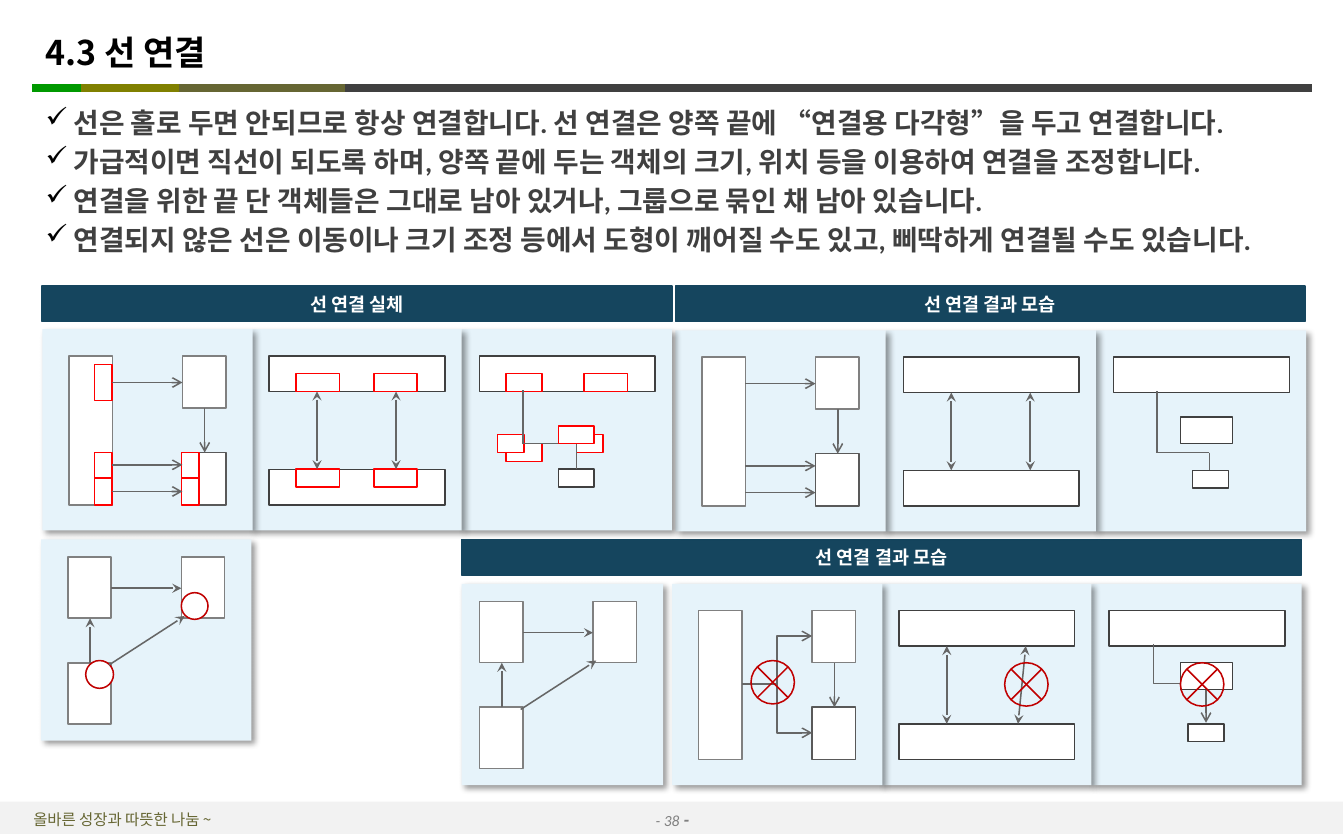
from dataclasses import dataclass
from lxml.etree import SubElement
from pptx import Presentation
from pptx.dml.color import RGBColor
from pptx.enum.shapes import MSO_CONNECTOR, MSO_SHAPE
from pptx.enum.text import MSO_ANCHOR, PP_ALIGN
from pptx.oxml.ns import qn
from pptx.util import Inches, Pt


@dataclass(frozen=True)
class Theme:
    latin: str = "Calibri"
    hangul: str = "Noto Sans CJK KR"
    black: str = "000000"
    white: str = "FFFFFF"
    dark: str = "404040"
    slate: str = "595959"
    wire: str = "666666"
    gray: str = "808080"
    pale: str = "F2F2F2"
    navy: str = "15455E"
    sky: str = "E6F3FA"
    red: str = "FF0000"
    alert: str = "C00000"
    green: str = "009900"
    olive: str = "808000"
    moss: str = "666633"
    title: int = 22
    body: int = 18
    head: int = 12
    foot: int = 10


class Board:
    def __init__(self, slide, theme):
        self.slide, self.theme = slide, theme
        self.x = self.y = 0

    def box(self, x, y, w, h, edge=None, fill="FFFFFF", kind=MSO_SHAPE.RECTANGLE):
        shape = self.slide.shapes.add_shape(
            kind, Inches(self.x + x), Inches(self.y + y), Inches(w), Inches(h))
        shape.shadow.inherit = False
        if fill:
            shape.fill.solid()
            shape.fill.fore_color.rgb = RGBColor.from_string(fill)
        else:
            shape.fill.background()
        if edge:
            shape.line.color.rgb = RGBColor.from_string(edge)
            shape.line.width = Pt(1)
        else:
            shape.line.fill.background()
        return shape

    def panel(self, x, y, w=1.89):
        self.x, self.y = x, y
        shape = self.box(0, 0, w, 1.81, fill=self.theme.sky)
        effect = shape._element.spPr.find(qn("a:effectLst"))
        shade = SubElement(effect, qn("a:outerShdw"), blurRad=str(Pt(4)),
                           dist=str(Pt(3)), dir="2700000", algn="tl", rotWithShape="0")
        color = SubElement(shade, qn("a:srgbClr"), val=self.theme.black)
        SubElement(color, qn("a:alpha"), val="40000")

    def line(self, a, b, head=None, tail=None, color=None, width=1,
             kind=MSO_CONNECTOR.STRAIGHT, turn=0):
        link = self.slide.shapes.add_connector(
            kind, Inches(self.x + a[0]), Inches(self.y + a[1]),
            Inches(self.x + b[0]), Inches(self.y + b[1]))
        link.line.color.rgb = RGBColor.from_string(color or self.theme.wire)
        link.line.width = Pt(width)
        props = link._element.spPr
        for tag, tip in (("a:headEnd", head), ("a:tailEnd", tail)):
            if tip:
                SubElement(props.find(qn("a:ln")), qn(tag), type=tip)
        SubElement(props, qn("a:effectLst"))
        if turn:
            props.find(qn("a:xfrm")).set("rot", str(turn * 60000))

    def bend(self, a, b, turn=0):
        self.line(a, b, tail="arrow", kind=MSO_CONNECTOR.ELBOW, turn=turn)

    def style(self, para, size, color, face=None, bold=False, slant=False):
        for run in para.runs:
            font = run.font
            font.size, font.bold, font.italic = Pt(size), bold, slant
            font.color.rgb = RGBColor.from_string(color)
            font.name = face or self.theme.latin
            SubElement(run._r.get_or_add_rPr(), qn("a:ea"), typeface=self.theme.hangul)

    def text(self, x, y, w, h, words, inset=None, anchor=MSO_ANCHOR.MIDDLE):
        frame = self.slide.shapes.add_textbox(
            Inches(x), Inches(y), Inches(w), Inches(h)).text_frame
        frame.word_wrap = True
        frame.vertical_anchor = anchor
        if inset:
            frame.margin_left = frame.margin_right = Inches(inset)
            frame.margin_top = frame.margin_bottom = Inches(inset)
        frame.text = words
        return frame.paragraphs

    def list(self, x, y, w, h, items):
        paras = self.text(x, y, w, h, "\n".join(items), 0.04, MSO_ANCHOR.TOP)
        for i, para in enumerate(paras):
            props = para._p.get_or_add_pPr()
            props.set("marL", str(Inches(0.25)))
            props.set("indent", str(Inches(-0.25)))
            tint = SubElement(props, qn("a:buClr"))
            SubElement(tint, qn("a:srgbClr"), val=self.theme.black)
            SubElement(props, qn("a:buChar"), char="✓")
            para.space_before = Pt(3.6 if i else 0)
            self.style(para, self.theme.body, self.theme.dark, bold=True)

    def band(self, x, y, w, words):
        frame = self.box(x, y, w, 0.32, self.theme.navy, self.theme.navy).text_frame
        frame.vertical_anchor = MSO_ANCHOR.MIDDLE
        frame.text = words
        frame.paragraphs[0].alignment = PP_ALIGN.CENTER
        self.style(frame.paragraphs[0], self.theme.head, self.theme.white, bold=True)

    def tags(self, spots, w, h):
        for x, y in spots:
            self.box(x, y, w, h, self.theme.red)

    def cross(self, x, y):
        self.box(x, y, 0.39, 0.39, self.theme.alert, None,
                 MSO_SHAPE.FLOWCHART_SUMMING_JUNCTION)

    def blocks(self, x, y):
        self.panel(x, y)
        self.box(0.24, 0.24, 0.39, 1.34, self.theme.gray)
        self.box(1.26, 0.24, 0.39, 0.47, self.theme.gray)
        self.box(1.26, 1.11, 0.39, 0.47, self.theme.slate)
        self.line((1.46, 0.71), (1.46, 1.11), tail="arrow")

    def arrows(self):
        for y in (0.48, 1.22, 1.46):
            self.line((0.63, y), (1.26, y), tail="arrow")

    def beams(self, x, y, lean=0, tagged=False):
        self.panel(x, y)
        for top in (0.24, 1.26):
            self.box(0.16, top, 1.58, 0.32, self.theme.dark)
        if tagged:
            self.tags([(a, b) for a in (0.4, 1.1) for b in (0.4, 1.26)], 0.39, 0.16)
        for a, b in ((0.59, 0.59), (1.3, 1.3 - lean)):
            self.line((a, 0.56), (b, 1.26), "stealth", "stealth")

    def hook(self, x, y):
        self.panel(x, y)
        self.box(0.16, 0.24, 1.58, 0.32, self.theme.dark)
        self.box(0.87, 1.26, 0.32, 0.16, self.theme.dark)

    def chain(self, *points):
        for a, b in zip(points, points[1:]):
            self.line(a, b)

    def corner(self, x, y, w, left, dots=()):
        self.panel(x, y, w)
        for a, b in ((0, 0.16), (1.02, 0.16), (0, 1.11)):
            self.box(left + a, b, 0.39, 0.55, self.theme.gray)
        for a, b, size in dots:
            self.box(a, b, size, size, self.theme.alert, kind=MSO_SHAPE.OVAL)
        for a, b, c, d in ((0.37, 1.13, 1.05, 0.69), (0.2, 1.11, 0.2, 0.71),
                           (0.39, 0.44, 1.02, 0.44)):
            self.line((left + a, b), (left + c, d), tail="stealth")


def main():
    deck = Presentation()
    deck.slide_width, deck.slide_height = Inches(12.08), Inches(7.5)
    look = Theme()
    board = Board(deck.slides.add_slide(deck.slide_layouts[6]), look)

    board.box(0, 7.21, 12.07, 0.29, fill=look.pale)
    motto = board.text(0, 7.24, 2.2, 0.26, "올바른 성장과 따뜻한 나눔 ~")[0]
    motto.alignment = PP_ALIGN.CENTER
    board.style(motto, look.foot, look.moss, look.hangul)
    for a, b, color in ((2.98, 11.79, look.dark), (0.29, 1.09, look.green),
                        (0.73, 1.66, look.olive), (1.61, 3.1, look.moss)):
        board.line((a, 0.79), (b, 0.79), color=color, width=5)
    page = board.text(5.06, 7.24, 1.97, 0.26, "- 38")[0]
    page.alignment = PP_ALIGN.CENTER
    page.add_run().text = " -"
    board.style(page, look.foot, look.gray, slant=True)
    page.runs[1].font.size, page.runs[1].font.bold = Pt(look.head), True

    title = board.text(0.37, 0.15, 10, 0.63, "4.3 선 연결", 0.04)[0]
    board.style(title, look.title, look.black, look.hangul, bold=True)
    board.list(0.37, 0.91, 11.34, 1.03, (
        "선은 홀로 두면 안되므로 항상 연결합니다. 선 연결은 양쪽 끝에 “연결용 다각형”을 두고 연결합니다.",
        "가급적이면 직선이 되도록 하며, 양쪽 끝에 두는 객체의 크기, 위치 등을 이용하여 연결을 조정합니다.",
        "연결을 위한 끝 단 객체들은 그대로 남아 있거나, 그룹으로 묶인 채 남아 있습니다.",
        "연결되지 않은 선은 이동이나 크기 조정 등에서 도형이 깨어질 수도 있고, 삐딱하게 연결될 수도 있습니다."))
    board.band(0.38, 2.57, 5.66, "선 연결 실체")
    board.band(6.07, 2.57, 5.66, "선 연결 결과 모습")
    board.band(4.15, 4.85, 7.55, "선 연결 결과 모습")

    board.hook(9.85, 2.97)
    board.chain((0.55, 0.55), (0.55, 1.1), (1.02, 1.1), (1.02, 1.26))
    board.box(0.76, 0.78, 0.47, 0.24, look.dark)
    board.beams(7.96, 2.97)
    board.blocks(6.07, 2.97)
    board.arrows()

    board.hook(4.15, 2.96)
    board.tags([(0.4, 0.4), (0.4, 1.03)], 0.32, 0.16)
    board.tags([(1.1, 0.4)], 0.39, 0.16)
    board.tags([(0.32, 0.95), (1.03, 0.95)], 0.24, 0.16)
    board.chain((0.55, 0.55), (0.55, 1.03), (1.03, 1.03), (1.03, 1.26))
    board.tags([(0.87, 0.87)], 0.32, 0.16)
    board.beams(2.26, 2.96, tagged=True)
    board.blocks(0.38, 2.96)
    board.tags([(0.47, 0.32)], 0.16, 0.32)
    board.tags([(a, b) for a in (0.47, 1.25) for b in (1.11, 1.34)], 0.16, 0.24)
    board.arrows()

    board.hook(9.81, 5.25)
    board.bend((1.15, 0.66), (0.44, 1.13), turn=270)
    board.box(0.8, 0.71, 0.47, 0.24, look.dark)
    board.cross(0.8, 0.71)
    board.beams(7.92, 5.25, lean=0.07)
    board.cross(1.11, 0.71)
    board.blocks(6.04, 5.25)
    for y in (0.47, 1.34):
        board.bend((0.63, 0.9), (1.26, y))
    board.cross(0.71, 0.69)

    board.corner(4.15, 5.25, 1.81, 0.16)
    board.corner(0.37, 4.85, 1.89, 0.24, ((0.4, 1.09, 0.25), (1.26, 0.48, 0.24)))
    deck.save("out.pptx")


if __name__ == "__main__":
    main()
